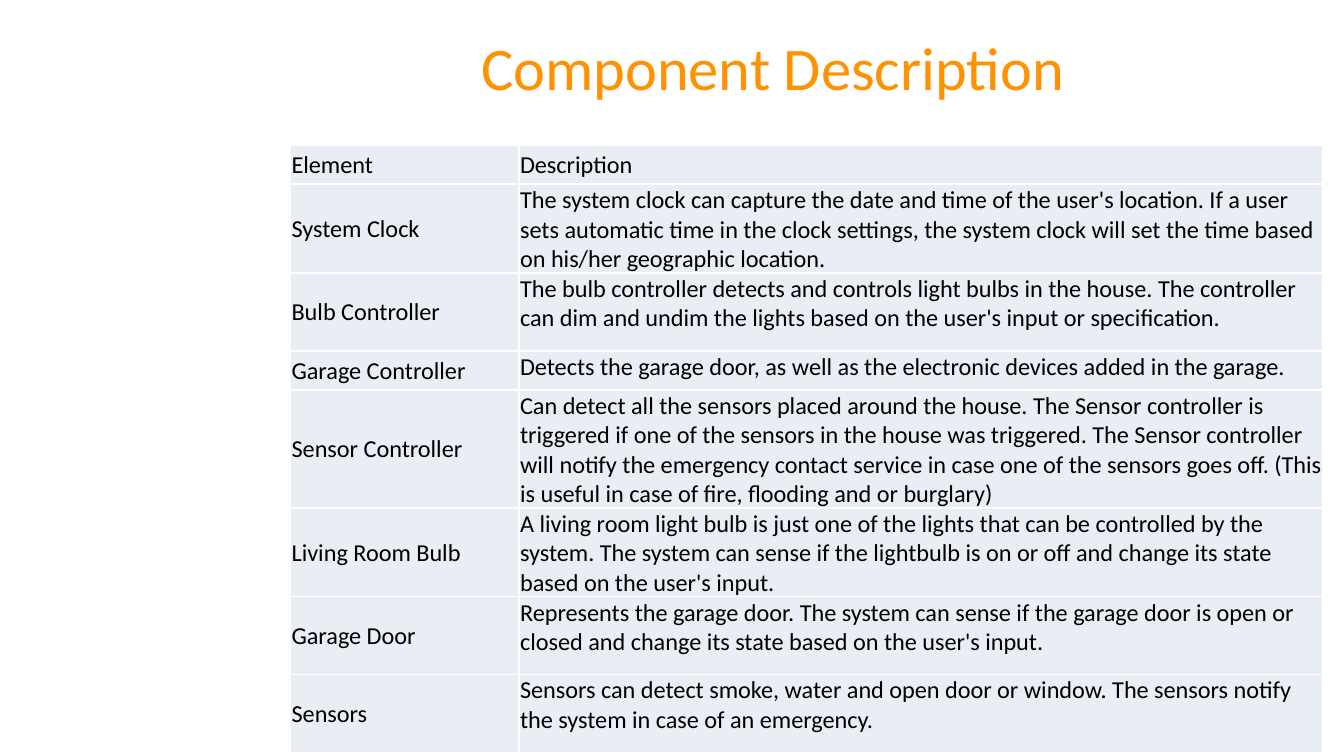
"""Build the component description slide."""
from lxml import etree
from pptx import Presentation
from pptx.dml.color import RGBColor
from pptx.enum import text
from pptx.oxml import ns
from pptx.util import Inches, Pt

TITLE = "Component Description"
ROWS = [
    (1, "Element", "Description"),
    (2, "System Clock",
     "The system clock can capture the date and time of the user's location. "
     "If a user sets automatic time in the clock settings, the system clock "
     "will set the time based on his/her geographic location."),
    (2, "Bulb Controller",
     "The bulb controller detects and controls light bulbs in the house. The "
     "controller can dim and undim the lights based on the user's input or "
     "specification."),
    (1, "Garage Controller",
     "Detects the garage door, as well as the electronic devices added in the "
     "garage."),
    (3, "Sensor Controller",
     "Can detect all the sensors placed around the house. The Sensor "
     "controller is triggered if one of the sensors in the house was "
     "triggered. The Sensor controller will notify the emergency contact "
     "service in case one of the sensors goes off. (This is useful in case of "
     "fire, flooding and or burglary)"),
    (2, "Living Room Bulb",
     "A living room light bulb is just one of the lights that can be "
     "controlled by the system. The system can sense if the lightbulb is on "
     "or off and change its state based on the user's input."),
    (2, "Garage Door",
     "Represents the garage door. The system can sense if the garage door is "
     "open or closed and change its state based on the user's input."),
    (2, "Sensors",
     "Sensors can detect smoke, water and open door or window. The sensors "
     "notify the system in case of an emergency."),
]
COLUMN_WIDTHS = [1.7, 5.98]
ROW_UNIT = 0.29
LEFT = 2.16
FONT = "Calibri"
ORANGE = RGBColor(0xFE, 0x92, 0x02)
BLACK = RGBColor(0, 0, 0)
WHITE = RGBColor(0xFF, 0xFF, 0xFF)
PALE = RGBColor(0xE9, 0xED, 0xF4)


def write(para, words, size, color):
    span = para.add_run()
    span.text = words
    span.font.name = FONT
    span.font.size = Pt(size)
    span.font.bold = False
    span.font.color.rgb = color


def add_borders(cell):
    properties = cell._tc.get_or_add_tcPr()
    for index, side in enumerate(("lnL", "lnR", "lnT", "lnB")):
        line = etree.Element(ns.qn(f"a:{side}"), w=str(Pt(1)))
        fill = etree.SubElement(line, ns.qn("a:solidFill"))
        etree.SubElement(fill, ns.qn("a:srgbClr"), val=str(WHITE))
        properties.insert(index, line)


def add_title(page):
    box = page.shapes.add_textbox(Inches(LEFT), Inches(0.18), Inches(7.18), Inches(0.63))
    frame = box.text_frame
    frame.word_wrap = True
    frame.vertical_anchor = text.MSO_ANCHOR.MIDDLE
    para = frame.paragraphs[0]
    para.alignment = text.PP_ALIGN.CENTER
    write(para, TITLE, 32.4, ORANGE)


def fill_cell(cell, words, anchor):
    cell.margin_left = cell.margin_right = cell.margin_top = Inches(0.01)
    cell.margin_bottom = 0
    cell.vertical_anchor = anchor
    cell.fill.solid()
    cell.fill.fore_color.rgb = PALE
    write(cell.text_frame.paragraphs[0], words, 13, BLACK)
    add_borders(cell)


def add_components(page):
    height = ROW_UNIT * sum(units for units, *_ in ROWS)
    table = page.shapes.add_table(
        len(ROWS), len(COLUMN_WIDTHS), Inches(LEFT), Inches(1.08),
        Inches(sum(COLUMN_WIDTHS)), Inches(height)).table
    for column, width in zip(table.columns, COLUMN_WIDTHS):
        column.width = Inches(width)
    for r, (units, *words) in enumerate(ROWS):
        table.rows[r].height = Inches(units * ROW_UNIT)
        for c, content in enumerate(words):
            middle = r == 0 or c == 0
            anchor = text.MSO_ANCHOR.MIDDLE if middle else text.MSO_ANCHOR.TOP
            fill_cell(table.cell(r, c), content, anchor)


def main():
    deck = Presentation()
    deck.slide_width = Inches(10)
    deck.slide_height = Inches(10 * 9 / 16)
    page = deck.slides.add_slide(deck.slide_layouts[6])
    add_title(page)
    add_components(page)
    deck.save("out.pptx")


if __name__ == "__main__":
    main()
